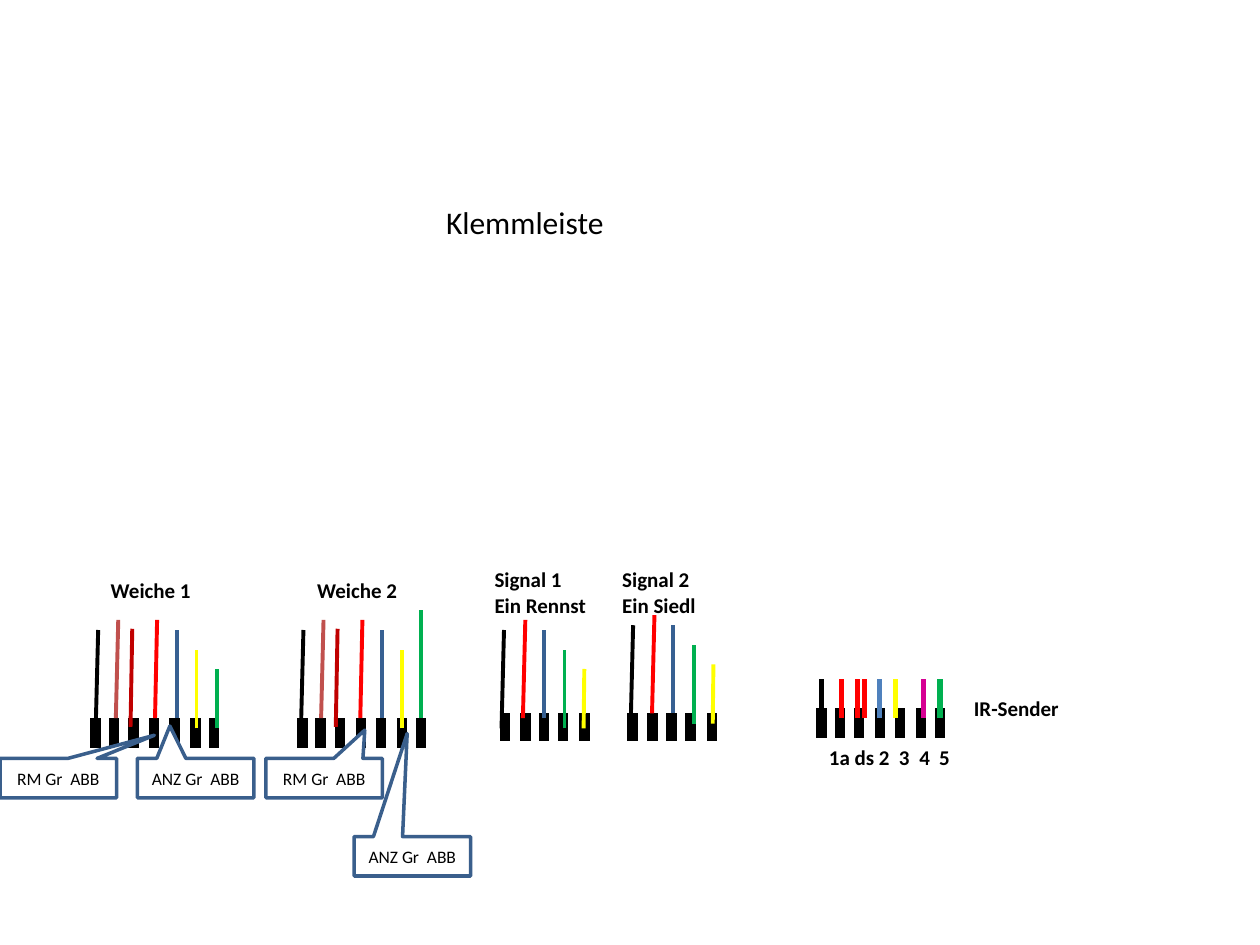
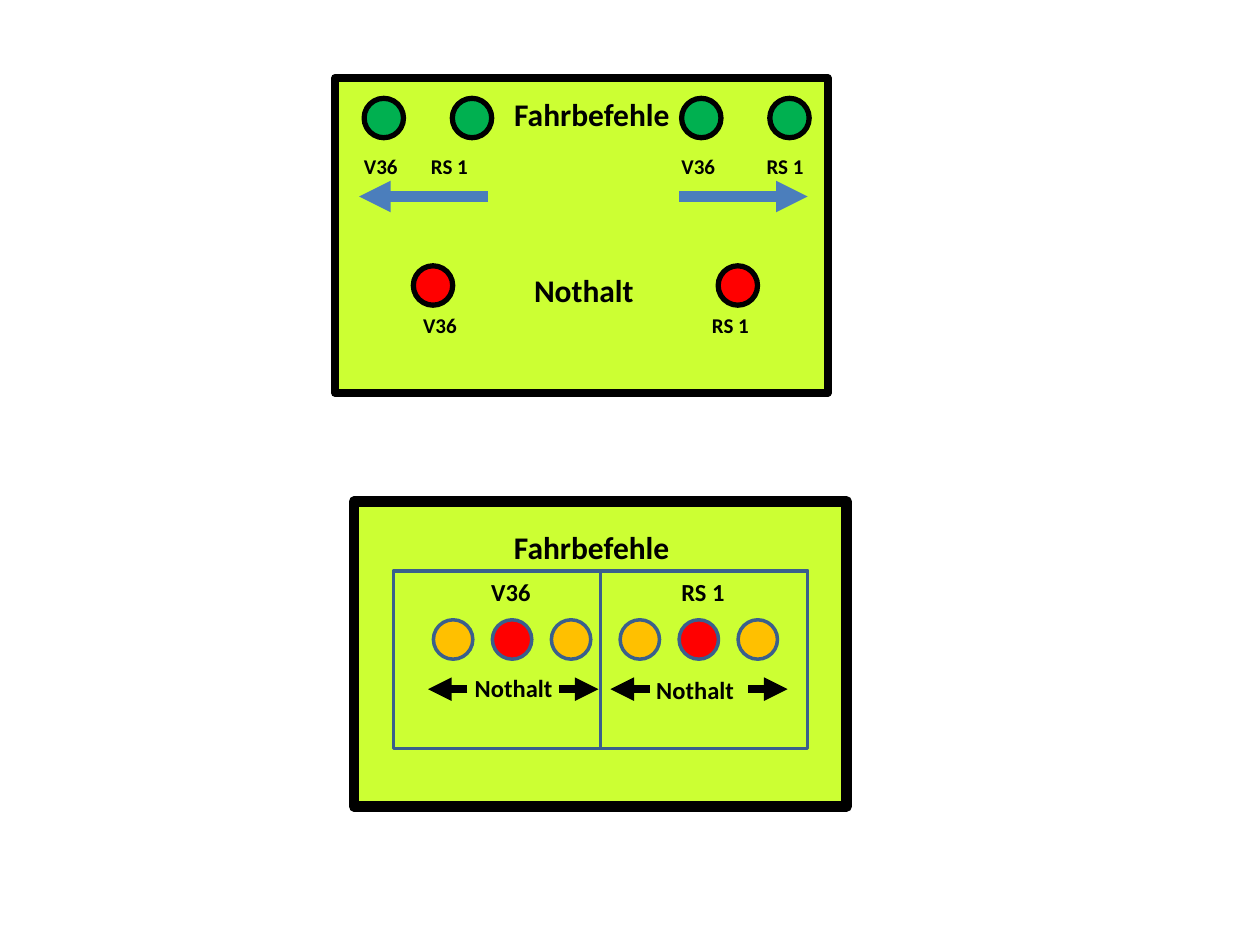
"""Terminal strip wiring and control panel layout for a model railway."""
from dataclasses import dataclass

from lxml import etree
from pptx import Presentation
from pptx.dml.color import RGBColor
from pptx.enum.shapes import MSO_CONNECTOR, MSO_SHAPE
from pptx.enum.text import MSO_ANCHOR, MSO_AUTO_SIZE, PP_ALIGN
from pptx.oxml.ns import qn
from pptx.util import Pt

STRAIGHT = MSO_CONNECTOR.STRAIGHT
RECT, OVAL = MSO_SHAPE.RECTANGLE, MSO_SHAPE.OVAL
CALLOUT = MSO_SHAPE.RECTANGULAR_CALLOUT
LEFT, CENTER = PP_ALIGN.LEFT, PP_ALIGN.CENTER
TOP, MIDDLE = MSO_ANCHOR.TOP, MSO_ANCHOR.MIDDLE
NO_AUTOFIT = MSO_AUTO_SIZE.NONE

FONT = "Calibri"
BLACK = RGBColor(0x00, 0x00, 0x00)
WHITE = RGBColor(0xFF, 0xFF, 0xFF)
RED = RGBColor(0xFF, 0x00, 0x00)
DARK_RED = RGBColor(0xC0, 0x00, 0x00)
BROWN = RGBColor(0xC0, 0x50, 0x4D)
BLUE = RGBColor(0x37, 0x60, 0x92)
LIGHT_BLUE = RGBColor(0x4F, 0x81, 0xBD)
ARROW_BLUE = RGBColor(0x4B, 0x7E, 0xBC)
OUTLINE = RGBColor(0x3A, 0x5F, 0x8C)
YELLOW = RGBColor(0xFF, 0xFF, 0x00)
GREEN = RGBColor(0x00, 0xB0, 0x50)
MAGENTA = RGBColor(0xD6, 0x00, 0x93)
AMBER = RGBColor(0xFF, 0xC0, 0x00)
LIME = RGBColor(0xCC, 0xFF, 0x33)

LAMP = 22.5
CALLOUT_W, CALLOUT_H = 66.6, 22.5


@dataclass
class Wire:
    """A wire from its clamp (x, y) up to its free end, relative to its block."""
    color: RGBColor
    x: float
    y: float
    top: float
    lean: float = 0


@dataclass
class Block:
    """A row of clamps and the wires that enter it."""
    x: float
    top: float
    bottom: float
    clamps: list[float]
    wires: list[Wire]
    wire_x: float
    wire_dy: float = 0
    wire_width: float = 2.25


@dataclass
class Label:
    """A piece of text with its place and size."""
    text: str
    x: float
    y: float
    w: float
    size: float = 12
    bold: bool = True


@dataclass
class Callout:
    """A callout box and the adjustments of its pointer."""
    text: str
    x: float
    y: float
    pointer: tuple[float, float]


CLAMPS_7 = [0, 10.5, 21.6, 33.4, 45, 57, 67.7]
CLAMPS_5 = [0, 11.5, 22.3, 33.1, 45.4]

SWITCH_WIRES = [
    Wire(BROWN, 11.5, 410.4, 354.2, 1.4),
    Wire(BLACK, 0, 416.2, 360, 1.4),
    Wire(DARK_RED, 19.9, 415.4, 359.3, 1),
    Wire(RED, 33.9, 410.4, 354.2, 1.2),
    Wire(BLUE, 46.5, 410.4, 360),
    Wire(YELLOW, 57.6, 416.2, 371.5),
]
SIGNAL_WIRES = [
    Wire(BLACK, 0, 416.2, 360, 1.4),
    Wire(RED, 12.2, 410.4, 354.2, 1.4),
    Wire(BLUE, 24.4, 410.4, 360),
    Wire(GREEN, 36, 416.2, 371.5),
    Wire(YELLOW, 46.9, 416.2, 382.3, 0.4),
]
IR_WIRES = [Wire(color, x, 410.4, 388.1) for color, x in [
    (BLACK, 0), (RED, 11.6), (RED, 20.6), (RED, 24.5), (LIGHT_BLUE, 33.2),
    (YELLOW, 42.5), (MAGENTA, 58.4), (GREEN, 67.7)]]

BLOCKS = [
    Block(54.7, 410.4, 427.7, CLAMPS_7,
          SWITCH_WIRES + [Wire(GREEN, 69.1, 416.2, 382.3)], 54.7),
    Block(172.8, 410.4, 427.7, CLAMPS_7,
          SWITCH_WIRES + [Wire(GREEN, 68.5, 410.4, 348.5)], 172),
    Block(288.7, 407.5, 423.4, CLAMPS_5, SIGNAL_WIRES, 286.6),
    Block(361.5, 407.5, 423.4, CLAMPS_5, SIGNAL_WIRES, 360.4, -2.7),
    Block(469.4, 404.6, 421.9, CLAMPS_7, IR_WIRES, 469.4, wire_width=3),
]
CALLOUTS = [
    Callout("RM Gr  ABB", 151.9, 433.4, (0.349, -1.218)),
    Callout("ANZ Gr  ABB", 202.3, 478.1, (-0.044, -3.118)),
    Callout("RM Gr  ABB", 0, 433.4, (0.825, -1.087)),
    Callout("ANZ Gr  ABB", 78.5, 433.4, (-0.221, -1.322)),
]
STRIP_LABELS = [
    Label("Weiche 1", 56.2, 326.2, 66),
    Label("Weiche 2", 174.2, 326.2, 66),
    Label("Signal 1\nEin Rennst", 275.5, 320.4, 74),
    Label("Signal 2\nEin Siedl", 348.5, 320.4, 64),
    Label("IR-Sender", 549.4, 393.8, 70),
    Label("1a ds 2", 466.6, 421.9, 60),
    Label("3", 506.6, 421.9, 24),
    Label("4", 518.2, 421.9, 24),
    Label("5", 529.6, 421.9, 24),
]
PANEL_LABELS = [
    Label("V36", 200.9, 84.2, 45), Label("RS 1", 239.2, 84.2, 45),
    Label("V36", 382.3, 84.2, 45), Label("RS 1", 431, 84.2, 45),
    Label("Nothalt", 298.1, 151.2, 80, 18),
    Label("V36", 234.7, 175, 45), Label("RS 1", 399.8, 175, 45),
    Label("Fahrbefehle", 286.6, 298.1, 110, 18),
    Label("V36", 273.6, 326.2, 45, 14), Label("RS 1", 382.3, 326.2, 50, 14),
    Label("Nothalt", 264.2, 380.9, 65, 14),
    Label("Nothalt", 367.9, 382.3, 65, 14),
]


def write(sp, label: Label, align=LEFT, anchor=TOP) -> None:
    """Write the label into a shape, one paragraph per line."""
    tf = sp.text_frame
    tf.word_wrap = True
    tf.auto_size = NO_AUTOFIT
    tf.vertical_anchor = anchor
    for i, line in enumerate(label.text.split("\n")):
        p = tf.add_paragraph() if i else tf.paragraphs[0]
        p.alignment = align
        r = p.add_run()
        r.text = line
        r.font.name = FONT
        r.font.size = Pt(label.size)
        r.font.bold = label.bold
        r.font.color.rgb = BLACK


def add_label(s, label: Label) -> None:
    """Add a text box for the label."""
    lines = label.text.count("\n") + 1
    sp = s.shapes.add_textbox(Pt(label.x), Pt(label.y), Pt(label.w),
                              Pt(7.2 + 1.2 * label.size * lines))
    write(sp, label)


def set_title(s, label: Label) -> None:
    """Place and format the title, in front of everything drawn so far."""
    sp = s.shapes.title
    sp.left, sp.top = Pt(label.x), Pt(label.y)
    sp.width, sp.height = Pt(label.w), Pt(28.8)
    write(sp, label)
    s.shapes._spTree.append(sp._element)


def add_line(s, start: tuple[float, float], end: tuple[float, float],
             color: RGBColor, width: float, arrow: bool = False) -> None:
    """Add a straight line, with an arrowhead at its end if wanted."""
    c = s.shapes.add_connector(STRAIGHT, Pt(start[0]), Pt(start[1]),
                               Pt(end[0]), Pt(end[1]))
    c.line.color.rgb = color
    c.line.width = Pt(width)
    if arrow:
        etree.SubElement(c.line._get_or_add_ln(), qn("a:tailEnd"), type="triangle")
    etree.SubElement(c._element.spPr, qn("a:effectLst"))


def add_figure(s, kind, x: float, y: float, w: float, h: float,
               fill: RGBColor | None, line: RGBColor, width: float):
    """Add a preset shape without shadow; no fill when fill is None."""
    sp = s.shapes.add_shape(kind, Pt(x), Pt(y), Pt(w), Pt(h))
    sp.shadow.inherit = False
    if fill is None:
        sp.fill.background()
    else:
        sp.fill.solid()
        sp.fill.fore_color.rgb = fill
    sp.line.color.rgb = line
    sp.line.width = Pt(width)
    return sp


def add_clamps(s, block: Block) -> None:
    """Draw the clamps of a block."""
    for dx in block.clamps:
        x = block.x + dx
        add_line(s, (x, block.top), (x, block.bottom), BLACK, 6)


def add_wires(s, block: Block) -> None:
    """Draw the wires of a block."""
    for wire in block.wires:
        x = block.wire_x + wire.x
        add_line(s, (x, wire.y + block.wire_dy),
                 (x + wire.lean, wire.top + block.wire_dy),
                 wire.color, block.wire_width)


def add_callout(s, callout: Callout) -> None:
    """Draw a callout with centred text."""
    sp = add_figure(s, CALLOUT, callout.x, callout.y, CALLOUT_W, CALLOUT_H,
                    WHITE, OUTLINE, 2)
    for i, value in enumerate(callout.pointer):
        sp.adjustments[i] = value
    tf = sp.text_frame
    tf.margin_left = tf.margin_right = 0
    write(sp, Label(callout.text, 0, 0, 0, 10, False), CENTER, MIDDLE)


def build_strip(s) -> None:
    """Build the terminal strip slide."""
    for block in BLOCKS:
        add_clamps(s, block)
    for callout in CALLOUTS:
        add_callout(s, callout)
    for block in BLOCKS:
        add_wires(s, block)
    for label in STRIP_LABELS:
        add_label(s, label)
    set_title(s, Label("Klemmleiste", 247.7, 112.3, 110, 18, False))


def build_panels(s) -> None:
    """Build the slide with the two control panels."""
    add_figure(s, RECT, 191.5, 44.6, 281.5, 180, LIME, BLACK, 4.5)
    add_figure(s, RECT, 202.3, 286.6, 281.5, 174.2, LIME, BLACK, 6)
    for x in (208.1, 258.5, 389.5, 439.9):
        add_figure(s, OVAL, x, 56.2, LAMP, LAMP, GREEN, BLACK, 3)
    for x in (236.2, 410.4):
        add_figure(s, OVAL, x, 151.9, LAMP, LAMP, RED, BLACK, 3)
    for start, end in ((278.6, 205.2), (388.1, 461.5)):
        add_line(s, (start, 112.3), (end, 112.3), ARROW_BLUE, 6, True)

    for box_x, lamp_x in ((224.8, 247.7), (343.2, 354.4)):
        add_figure(s, RECT, box_x, 326.2, 118.4, 101.4, None, OUTLINE, 2)
        for i, color in enumerate((AMBER, RED, AMBER)):
            add_figure(s, OVAL, lamp_x + 33.7 * i, 354.2, LAMP, LAMP,
                       color, OUTLINE, 2)
    for start, end in ((267.1, 244.6), (319.5, 342), (371.3, 348.8), (427.6, 450.1)):
        add_line(s, (start, 393.8), (end, 393.8), BLACK, 4.5, True)
    for label in PANEL_LABELS:
        add_label(s, label)
    set_title(s, Label("Fahrbefehle", 286.6, 50.4, 110, 18))


prs = Presentation()
prs.slide_width, prs.slide_height = Pt(720), Pt(540)
title_only = prs.slide_layouts[5]
for build in (build_strip, build_panels):
    build(prs.slides.add_slide(title_only))
prs.save("out.pptx")
